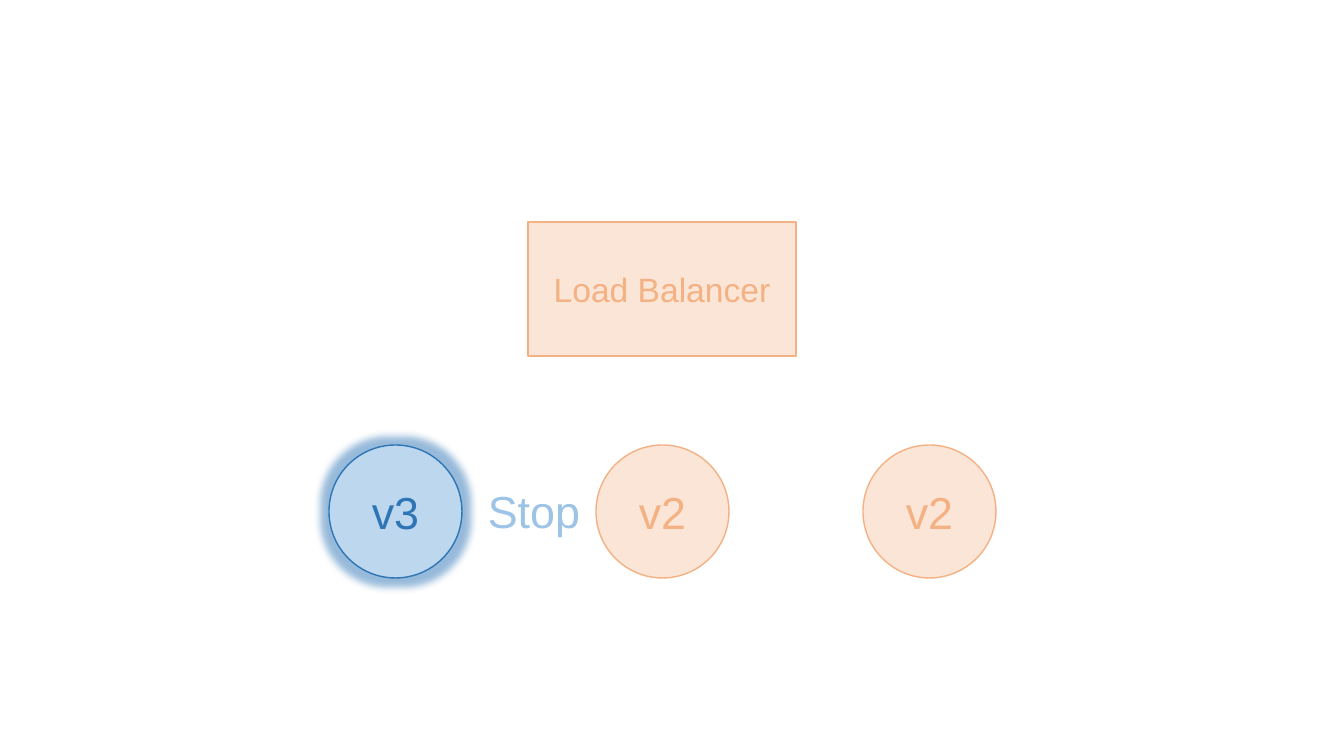
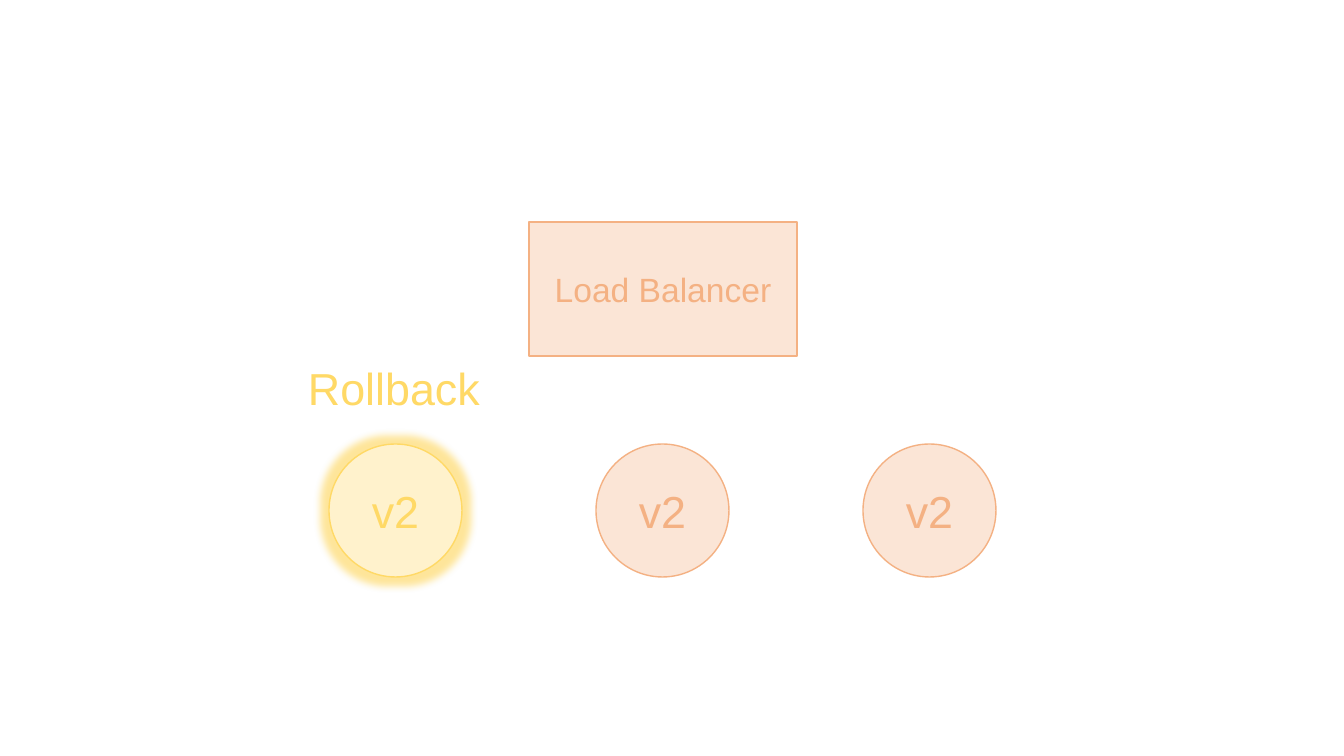
import dataclasses
import pptx
import pptx.dml.color
import pptx.enum.shapes
import pptx.enum.text
import pptx.oxml.ns
import pptx.util
import lxml.etree

SHAPE = pptx.enum.shapes.MSO_SHAPE
PX = 914400 / 100.8


@dataclasses.dataclass(frozen=True)
class Tone:
    fill: str
    line: str
    label: str
    glow: str
    glow_alpha: int


@dataclasses.dataclass(frozen=True)
class Theme:
    font: str = "Arial"
    box_size: int = 24
    label_size: int = 32
    line_width: int = 1
    glow_radius: int = 11
    orange: Tone = Tone("FBE5D6", "F4B183", "F4B183", "F4B183", 40)
    blue: Tone = Tone("BDD7EE", "2E75B6", "9DC3E6", "2E75B6", 50)
    gold: Tone = Tone("FFF2CC", "FFD966", "FFD966", "FFC000", 40)


def px(n):
    return pptx.util.Emu(round(n * PX))


def rgb(value):
    return pptx.dml.color.RGBColor.from_string(value)


class Deck:
    def __init__(self, theme):
        self.theme = theme
        self.prs = pptx.Presentation()
        self.prs.slide_width, self.prs.slide_height = px(1344), px(756)
        self.s = None

    def slide(self):
        self.s = self.prs.slides.add_slide(self.prs.slide_layouts[6])

    def set_text(self, tf, text, size, color):
        tf.text = text
        p = tf.paragraphs[0]
        p.alignment = pptx.enum.text.PP_ALIGN.CENTER
        font = p.runs[0].font
        font.name, font.size = self.theme.font, pptx.util.Pt(size)
        font.color.rgb = rgb(color)

    def shape(self, kind, x, y, w, h, text, size, tone):
        sp = self.s.shapes.add_shape(kind, px(x), px(y), px(w), px(h))
        sp.shadow.inherit = False
        sp.fill.solid()
        sp.fill.fore_color.rgb = rgb(tone.fill)
        sp.line.color.rgb = rgb(tone.line)
        sp.line.width = pptx.util.Pt(self.theme.line_width)
        sp.text_frame.vertical_anchor = pptx.enum.text.MSO_ANCHOR.MIDDLE
        self.set_text(sp.text_frame, text, size, tone.line)
        return sp

    def glow(self, sp, tone):
        qn = pptx.oxml.ns.qn
        effects = sp._element.spPr.find(qn("a:effectLst"))
        radius = pptx.util.Pt(self.theme.glow_radius)
        glow = lxml.etree.SubElement(effects, qn("a:glow"), rad=str(int(radius)))
        color = lxml.etree.SubElement(glow, qn("a:srgbClr"), val=tone.glow)
        lxml.etree.SubElement(color, qn("a:alpha"), val=str(tone.glow_alpha * 1000))

    def label(self, x, y, w, h, text, tone):
        tf = self.s.shapes.add_textbox(px(x), px(y), px(w), px(h)).text_frame
        tf.word_wrap = True
        self.set_text(tf, text, self.theme.label_size, tone.label)

    def balancer(self, x):
        self.shape(SHAPE.RECTANGLE, x, 222, 268, 134, "Load Balancer",
                   self.theme.box_size, self.theme.orange)

    def servers(self, y, versions, first_tone):
        # Equal circles, one step apart; the first one is highlighted
        diameter, step = 133, 267
        for i, version in enumerate(versions):
            tone = self.theme.orange if i else first_tone
            sp = self.shape(SHAPE.OVAL, 329 + i * step, y, diameter, diameter,
                            version, self.theme.label_size, tone)
            if i == 0:
                self.glow(sp, tone)


def main():
    theme = Theme()
    deck = Deck(theme)

    # Stopped rollout
    deck.slide()
    deck.servers(445, ["v3", "v2", "v2"], theme.blue)
    deck.label(461, 479, 146, 65, "Stop", theme.blue)
    deck.balancer(528)

    # Rollback
    deck.slide()
    deck.servers(444, ["v2", "v2", "v2"], theme.gold)
    deck.balancer(529)
    deck.label(282, 356, 224, 65, "Rollback", theme.gold)

    deck.prs.save("out.pptx")


if __name__ == "__main__":
    main()
